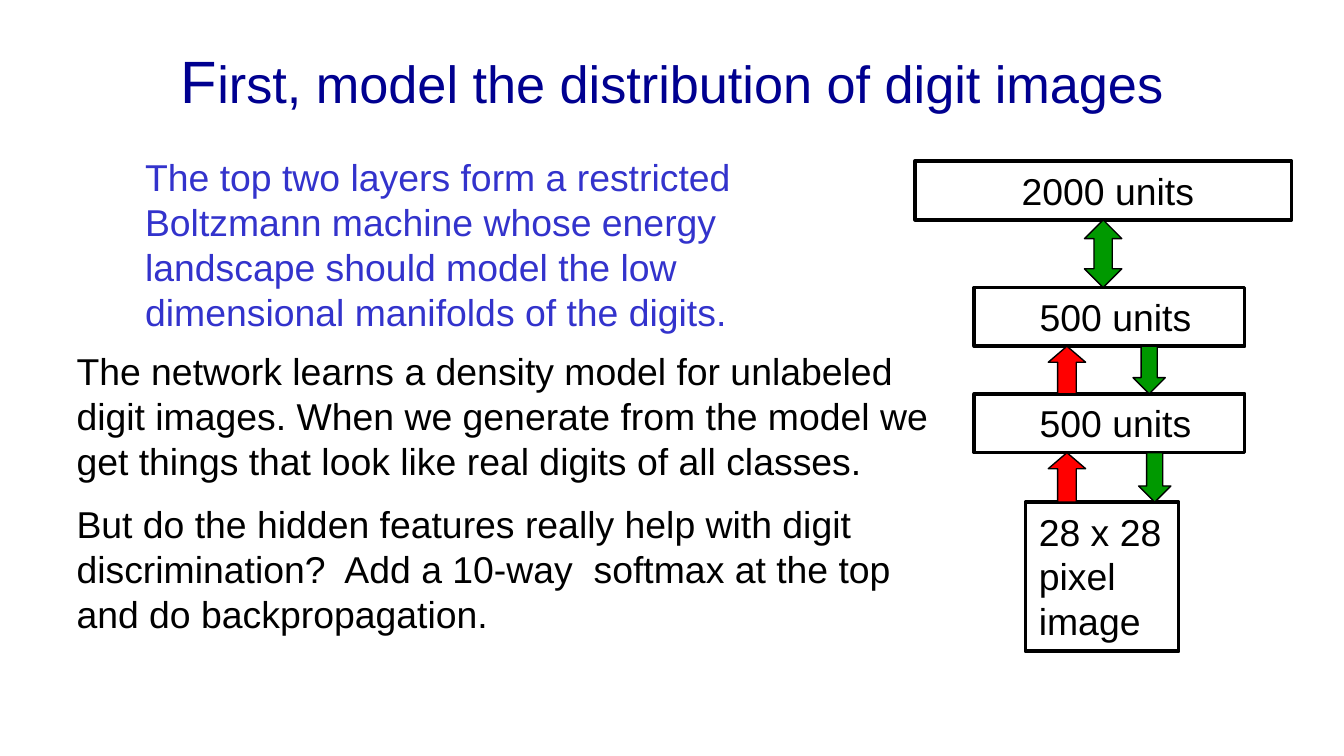
from dataclasses import dataclass

from pptx import Presentation
from pptx.dml.color import RGBColor
from pptx.enum.shapes import MSO_SHAPE
from pptx.enum.text import MSO_ANCHOR, MSO_AUTO_SIZE, PP_ALIGN
from pptx.oxml.xmlchemy import OxmlElement
from pptx.util import Pt


@dataclass(frozen=True)
class Theme:
    font: str = "Arial"
    title: RGBColor = RGBColor(0x00, 0x00, 0x90)
    accent: RGBColor = RGBColor(0x33, 0x33, 0xCC)
    ink: RGBColor = RGBColor(0x00, 0x00, 0x00)
    generate: RGBColor = RGBColor(0x00, 0x99, 0x00)
    recognize: RGBColor = RGBColor(0xFF, 0x00, 0x00)
    initial_size: int = 32
    title_size: int = 28
    body_size: int = 20


THEME = Theme()

# Network layers, top to bottom: text, left, top, width, height, left inset
LAYERS = [
    ("2000 units", 490.3, 86.3, 201.6, 31.5, 57),
    ("500 units", 522, 154, 144.8, 31.5, 35),
    ("500 units", 522, 211, 144.8, 31.5, 35),
    ("28 x 28 pixel image", 549.4, 269, 82, 80, 7.2),
]

# Arrows: index of the layer above, preset, left, width, head ratio, colour
ARROWS = [
    (0, MSO_SHAPE.UP_DOWN_ARROW, 581, 20, 0.49, THEME.generate),
    (1, MSO_SHAPE.DOWN_ARROW, 607, 17.3, 0.5, THEME.generate),
    (2, MSO_SHAPE.DOWN_ARROW, 610, 17.3, 0.5, THEME.generate),
    (1, MSO_SHAPE.UP_ARROW, 561.6, 20, 0.43, THEME.recognize),
    (2, MSO_SHAPE.UP_ARROW, 561.6, 20, 0.43, THEME.recognize),
]


def add_span(para, text, size=THEME.body_size, color=THEME.ink):
    span = para.add_run()
    span.text = text
    span.font.name = THEME.font
    span.font.size = Pt(size)
    span.font.color.rgb = color


def write(box, paragraphs, align=PP_ALIGN.LEFT, anchor=MSO_ANCHOR.TOP,
          inset=7.2, gap=10, color=THEME.ink):
    """Fill a box with plain paragraphs."""
    frame = box.text_frame
    frame.word_wrap = True
    frame.auto_size = MSO_AUTO_SIZE.NONE
    frame.vertical_anchor = anchor
    frame.margin_left = Pt(inset)
    for index, text in enumerate(paragraphs):
        para = frame.add_paragraph() if index else frame.paragraphs[0]
        para.alignment = align
        para.space_before = Pt(gap if index else 0)
        add_span(para, text, color=color)


def place(box, left, top, width, height):
    box.left, box.top = Pt(left), Pt(top)
    box.width, box.height = Pt(width), Pt(height)


def remove_bullets(box):
    for para in box.text_frame.paragraphs:
        properties = para._p.get_or_add_pPr()
        properties.set("marL", "0")
        properties.set("indent", "0")
        properties.append(OxmlElement("a:buNone"))


def add_title(slide):
    box = slide.shapes.title
    place(box, 36, 8.6, 648, 67.7)
    frame = box.text_frame
    frame.vertical_anchor = MSO_ANCHOR.MIDDLE
    para = frame.paragraphs[0]
    para.alignment = PP_ALIGN.CENTER
    add_span(para, "F", size=THEME.initial_size, color=THEME.title)
    add_span(para, "irst, model the distribution of digit images",
             size=THEME.title_size, color=THEME.title)


def add_shape(slide, preset, left, top, width, height, line_width, fill=None):
    shape = slide.shapes.add_shape(
        preset, Pt(left), Pt(top), Pt(width), Pt(height))
    shape.shadow.inherit = False
    shape.line.color.rgb = THEME.ink
    shape.line.width = Pt(line_width)
    if fill is None:
        shape.fill.background()
    else:
        shape.fill.solid()
        shape.fill.fore_color.rgb = fill
    return shape


def add_layer(slide, text, left, top, width, height, inset):
    box = add_shape(slide, MSO_SHAPE.RECTANGLE, left, top, width, height, 2)
    write(box, [text], inset=inset)


def add_arrow(slide, upper, preset, left, width, head, color):
    """Span the gap between a layer and the one below it."""
    top = LAYERS[upper][2] + LAYERS[upper][4]
    height = LAYERS[upper + 1][2] - top
    arrow = add_shape(slide, preset, left, top, width, height, 0.75, color)
    arrow.adjustments[0] = 0.5
    arrow.adjustments[1] = head


def main():
    deck = Presentation()
    deck.slide_width, deck.slide_height = Pt(720), Pt(405)
    slide = deck.slides.add_slide(deck.slide_layouts[1])
    add_title(slide)

    # Network diagram
    for layer in LAYERS:
        add_layer(slide, *layer)
    for arrow in ARROWS:
        add_arrow(slide, *arrow)

    # Main text
    body = slide.placeholders[1]
    place(body, 33.8, 183, 481.7, 165)
    write(body, [
        "The network learns a density model for unlabeled digit images. "
        "When we generate from the model we get things that look like real "
        "digits of all classes.",
        "But do the hidden features really help with digit discrimination?  "
        "Add a 10-way  softmax at the top and do backpropagation.",
    ])
    remove_bullets(body)

    # Remark on the top two layers
    remark = slide.shapes.add_textbox(Pt(70.6), Pt(79.2), Pt(368.6), Pt(104.4))
    write(remark, [
        "The top two layers form a restricted Boltzmann machine whose energy "
        "landscape should model the low dimensional manifolds of the digits.",
    ], color=THEME.accent)

    deck.save("out.pptx")


if __name__ == "__main__":
    main()
